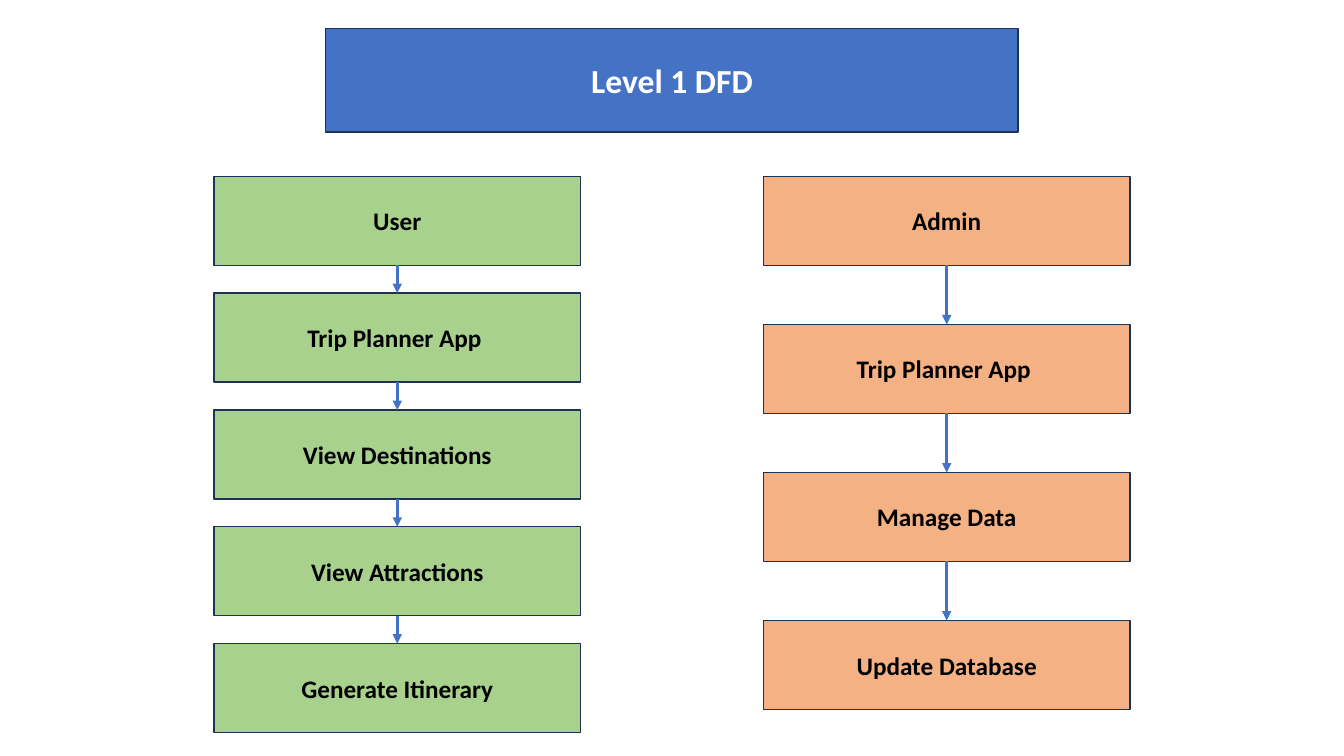
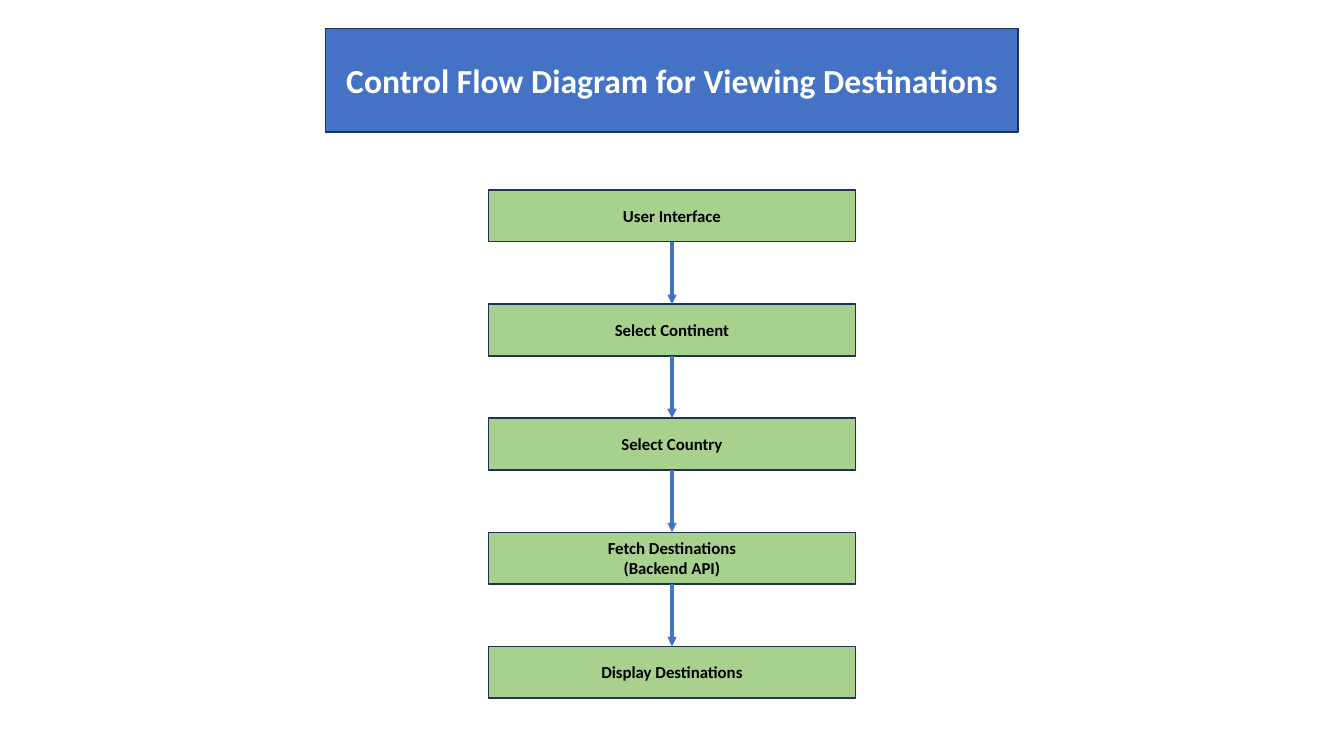
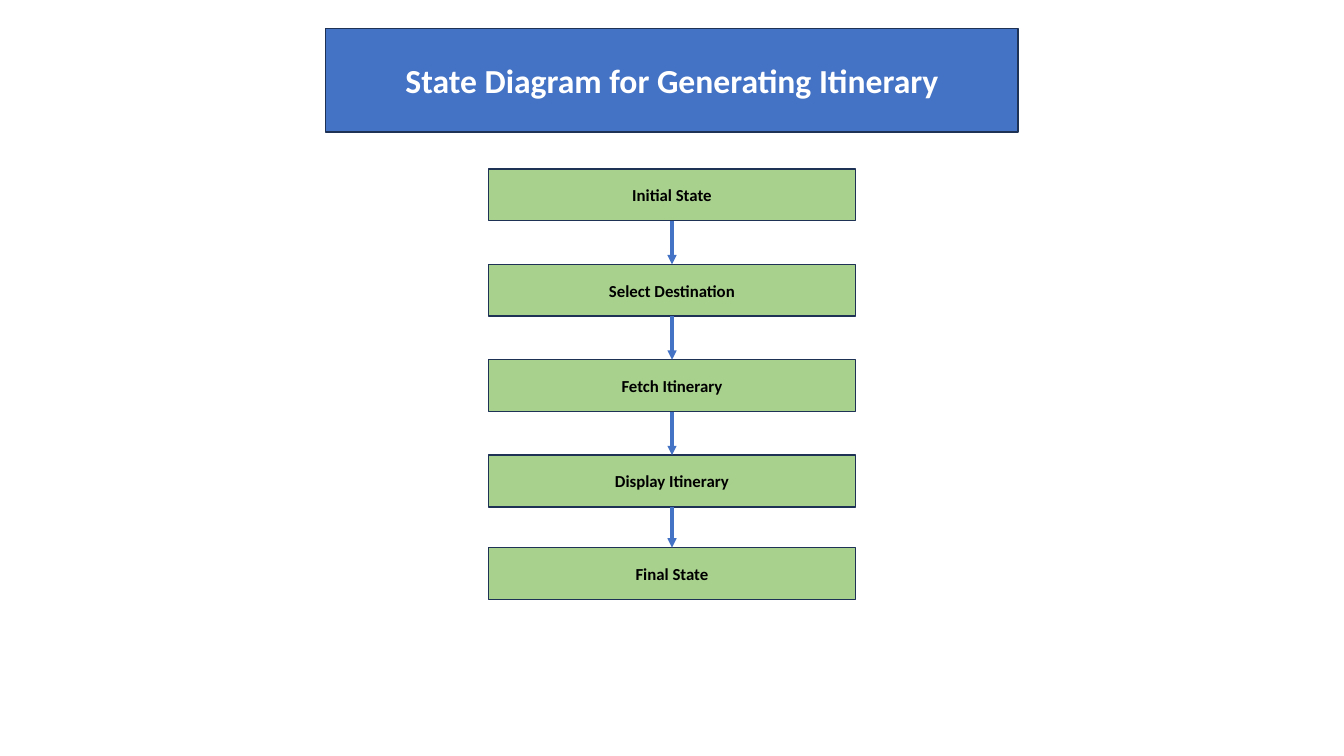
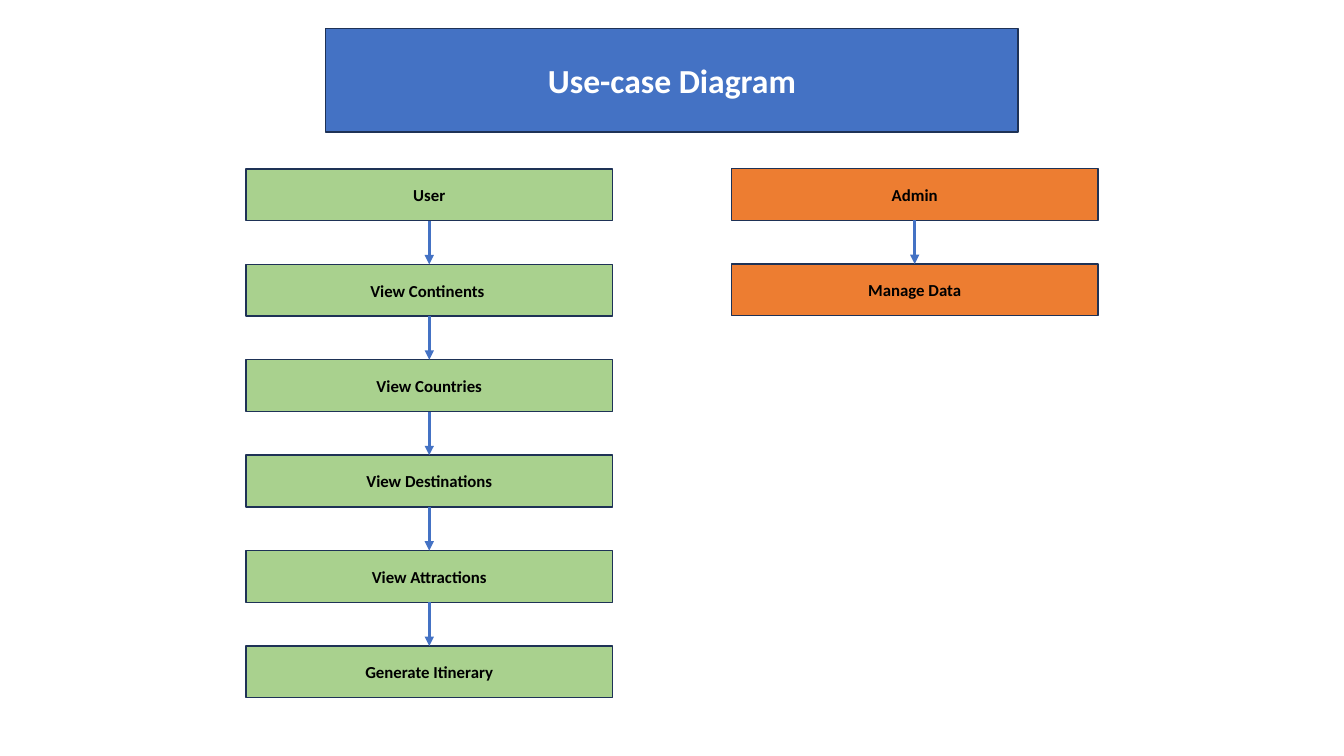
from dataclasses import dataclass
from itertools import pairwise

from lxml.etree import SubElement
from pptx import Presentation
from pptx.dml.color import RGBColor
from pptx.enum.shapes import MSO_CONNECTOR, MSO_SHAPE
from pptx.enum.text import MSO_ANCHOR, MSO_AUTO_SIZE, PP_ALIGN
from pptx.oxml.ns import qn
from pptx.util import Inches, Pt


@dataclass(frozen=True)
class Theme:
    """Colours, type sizes, line widths and standard box sizes in percent of the slide."""

    font: str = "Calibri"
    title_fill: str = "4472C4"
    title_text: str = "FFFFFF"
    user: str = "A9D18E"
    admin: str = "F4B183"
    admin_strong: str = "ED7D31"
    text: str = "000000"
    outline: str = "1E3256"
    arrow: str = "4472C4"
    title_size: int = 24
    large: int = 18
    small: int = 12
    outline_width: float = 1
    arrow_width: float = 2.25
    title_box: tuple = (51.52, 13.75)
    title_top: float = 3.73
    box_width: float = 27.3
    large_height: float = 11.78
    small_height: float = 6.85


class Deck:
    """Holds the theme and the current slide; lengths are percent of the slide's size."""

    def __init__(self, theme):
        """Start an empty widescreen presentation."""
        self.theme = theme
        self.prs = Presentation()
        self.prs.slide_width, self.prs.slide_height = Inches(13.33), Inches(7.5)
        self.s = None

    def frame(self, center, top, width, height):
        """Return left, top, width and height of a box centred on a column."""
        w, h = self.prs.slide_width, self.prs.slide_height
        shares = ((center - width / 2, w), (top, h), (width, w), (height, h))
        return [round(share * full / 100) for share, full in shares]

    def style(self, sp, text, fill, color, size):
        """Give a box its fill, outline and centred bold text."""
        t = self.theme
        sp.fill.solid()
        sp.fill.fore_color.rgb = RGBColor.from_string(fill)
        sp.line.color.rgb = RGBColor.from_string(t.outline)
        sp.line.width = Pt(t.outline_width)
        tf = sp.text_frame
        tf.text = text
        tf.word_wrap = True
        tf.auto_size = MSO_AUTO_SIZE.NONE
        tf.vertical_anchor = MSO_ANCHOR.MIDDLE
        for p in tf.paragraphs:
            p.alignment = PP_ALIGN.CENTER
            p.font.name, p.font.size, p.font.bold = t.font, Pt(size), True
            p.font.color.rgb = RGBColor.from_string(color)

    def slide(self, title):
        """Add a slide with its title band."""
        t = self.theme
        self.s = self.prs.slides.add_slide(self.prs.slide_layouts.get_by_name("Title Only"))
        sp = self.s.shapes.title
        sp.left, sp.top, sp.width, sp.height = self.frame(50, t.title_top, *t.title_box)
        self.style(sp, title, t.title_fill, t.title_text, t.title_size)

    def box(self, text, center, top, fill, large):
        """Add one step of a flow."""
        t = self.theme
        height, size = (t.large_height, t.large) if large else (t.small_height, t.small)
        frame = self.frame(center, top, t.box_width, height)
        sp = self.s.shapes.add_shape(MSO_SHAPE.RECTANGLE, *frame)
        sp.shadow.inherit = False
        self.style(sp, text, fill, t.text, size)
        return sp

    def arrow(self, upper, lower):
        """Join two boxes with a downward arrow."""
        c = self.s.shapes.add_connector(MSO_CONNECTOR.STRAIGHT, 0, 0, 0, 0)
        c.begin_connect(upper, 2)
        c.end_connect(lower, 0)
        c.line.color.rgb = RGBColor.from_string(self.theme.arrow)
        c.line.width = Pt(self.theme.arrow_width)
        props = c.element.spPr
        SubElement(props.find(qn("a:ln")), qn("a:tailEnd"), type="triangle")
        SubElement(props, qn("a:effectLst"))

    def flow(self, steps, center, top, pitch, fill, large=False, last_shift=0):
        """Stack steps at an equal pitch and join neighbours with arrows."""
        tops = [top + i * pitch for i in range(len(steps))]
        tops[-1] += last_shift
        boxes = [self.box(text, center, y, fill, large) for text, y in zip(steps, tops)]
        for upper, lower in pairwise(boxes):
            self.arrow(upper, lower)


def main():
    """Build the four diagrams."""
    theme = Theme()
    deck = Deck(theme)

    deck.slide("Level 1 DFD")
    deck.flow(["User", "Trip Planner App ", "View Destinations", "View Attractions",
               "Generate Itinerary"], 50 - 20.44, 23.33, 15.45, theme.user, large=True)
    deck.flow(["Admin", "Trip Planner App ", "Manage Data", "Update Database"],
              50 + 20.44, 23.33, 19.58, theme.admin, large=True)

    deck.slide("Control Flow Diagram for Viewing Destinations")
    deck.flow(["User Interface", "Select Continent", "Select Country",
               "Fetch Destinations\n(Backend API)", "Display Destinations"],
              50, 25.13, 15.09, theme.user)

    deck.slide("State Diagram for Generating Itinerary")
    deck.flow(["Initial State", "Select Destination", "Fetch Itinerary",
               "Display Itinerary", "Final State"],
              50, 22.35, 12.62, theme.user, last_shift=-0.4)

    deck.slide("Use-case Diagram")
    deck.flow(["User", "View Continents ", "View Countries", "View Destinations",
               "View Attractions", "Generate Itinerary"],
              50 - 18.06, 22.35, 12.62, theme.user)
    deck.flow(["Admin", "Manage Data"], 50 + 18.06, 22.3, 12.62, theme.admin_strong)

    deck.prs.save("out.pptx")


if __name__ == "__main__":
    main()
